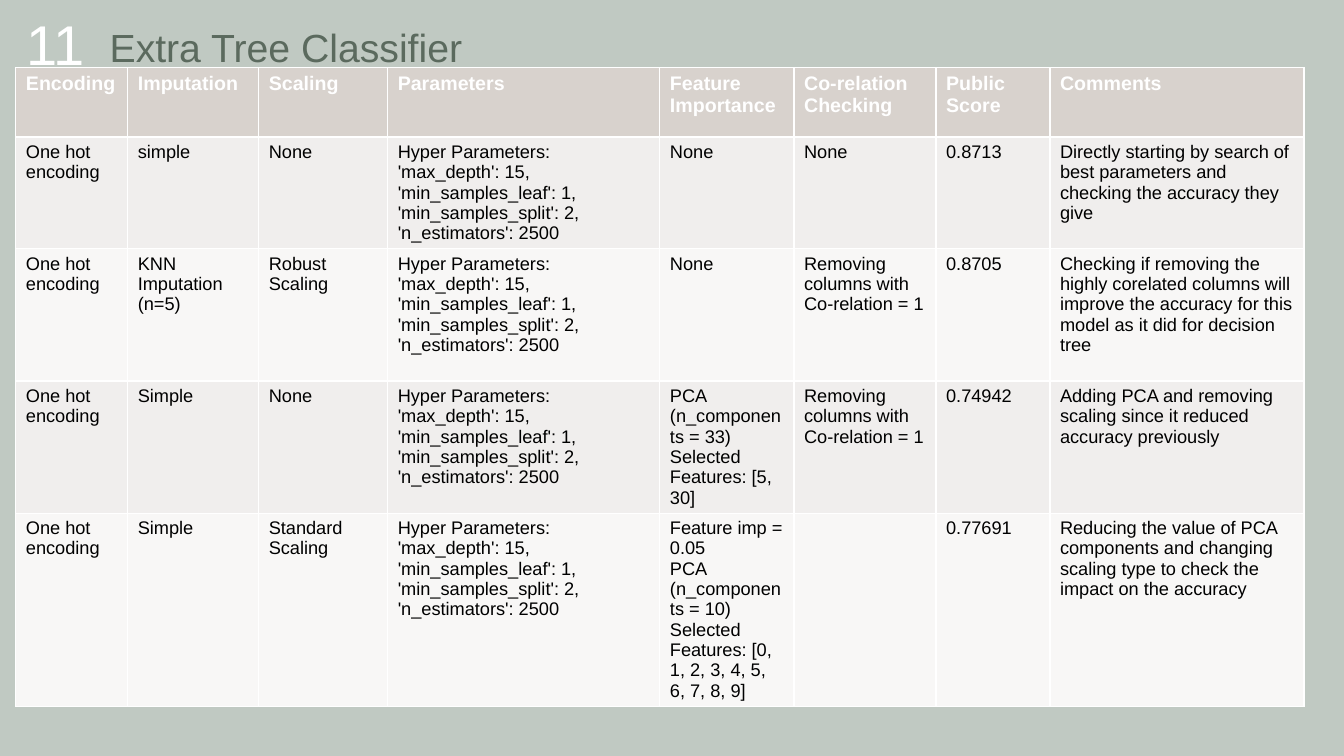
from dataclasses import dataclass

from lxml.etree import SubElement
from pptx import Presentation
from pptx.dml.color import RGBColor
from pptx.enum.text import MSO_ANCHOR, MSO_AUTO_SIZE, PP_ALIGN
from pptx.oxml.ns import qn
from pptx.util import Cm, Pt


@dataclass(frozen=True)
class Theme:
    font: str = "Arial"
    background: str = "C0C9C2"
    title: str = "5B6A5E"
    light: str = "FFFFFF"
    dark: str = "000000"
    header_fill: str = "D8D2CD"
    bands: tuple = ("F0EEED", "F8F7F6")
    number_size: float = 40
    title_size: float = 28
    header_size: float = 14
    cell_size: float = 13


HYPER = ("Hyper Parameters: 'max_depth': 15, 'min_samples_leaf': 1, "
         "'min_samples_split': 2, 'n_estimators': 2500")
UNCORRELATED = "Removing columns with Co-relation = 1"
ENCODING = "One hot encoding"

HEADERS = ["Encoding", "Imputation", "Scaling", "Parameters", "Feature Importance",
           "Co-relation Checking", "Public Score", "Comments"]
TRIALS = [
    [ENCODING, "simple", "None", HYPER, "None", "None", "0.8713",
     "Directly starting by search of best parameters and checking the accuracy they give"],
    [ENCODING, "KNN Imputation\n(n=5)", "Robust Scaling", HYPER, "None", UNCORRELATED, "0.8705",
     "Checking if removing the highly corelated columns will improve the accuracy "
     "for this model as it did for decision tree"],
    [ENCODING, "Simple", "None", HYPER,
     "PCA (n_components = 33)\nSelected Features: [5, 30]", UNCORRELATED, "0.74942",
     "Adding PCA and removing scaling since it reduced accuracy previously"],
    [ENCODING, "Simple", "Standard Scaling", HYPER,
     "Feature imp = 0.05\nPCA (n_components = 10)\n"
     "Selected Features: [0, 1, 2, 3, 4, 5, 6, 7, 8, 9]", "", "0.77691",
     "Reducing the value of PCA components and changing scaling type "
     "to check the impact on the accuracy"],
]
COLUMN_WIDTHS = [2.82, 3.3, 3.25, 6.86, 3.38, 3.58, 2.87, 6.4]
ROW_HEIGHTS = [1.75, 2.82, 3.33, 3.33, 4.88]


class SlideBuilder:
    def __init__(self, prs, theme):
        self.theme = theme
        self.s = prs.slides.add_slide(prs.slide_layouts[1])
        fill = self.s.background.fill
        fill.solid()
        fill.fore_color.rgb = RGBColor.from_string(theme.background)

    def format_runs(self, tf, size, color, bold=False):
        for p in tf.paragraphs:
            for r in p.runs:
                r.font.name = self.theme.font
                r.font.size = Pt(size)
                r.font.bold = bold
                r.font.color.rgb = RGBColor.from_string(color)

    def place(self, sp, text, box, size, color, anchor):
        """Move a placeholder to box and fill it with one formatted line."""
        sp.left, sp.top, sp.width, sp.height = map(Cm, box)
        tf = sp.text_frame
        tf.text = text
        tf.word_wrap = True
        tf.auto_size = MSO_AUTO_SIZE.NONE
        tf.vertical_anchor = anchor
        p = tf.paragraphs[0]
        p.alignment = PP_ALIGN.LEFT
        p.line_spacing = 0.9
        self.format_runs(tf, size, color)
        return p

    def title(self, text, box):
        self.place(self.s.shapes.title, text, box, self.theme.title_size,
                   self.theme.title, MSO_ANCHOR.MIDDLE)

    def number(self, text, box):
        p = self.place(self.s.placeholders[1], text, box, self.theme.number_size,
                       self.theme.light, MSO_ANCHOR.TOP)
        p.space_before = Pt(10)
        pPr = p._p.get_or_add_pPr()
        pPr.set("marL", "0")
        pPr.set("indent", "0")
        SubElement(pPr, qn("a:buNone"))

    def table(self, rows, left, top, widths, heights):
        frame = self.s.shapes.add_table(len(rows), len(widths), Cm(left), Cm(top),
                                        Cm(sum(widths)), Cm(sum(heights)))
        table = frame.table
        for column, width in zip(table.columns, widths):
            column.width = Cm(width)
        for row, height in zip(table.rows, heights):
            row.height = Cm(height)
        for i, texts in enumerate(rows):
            for cell, text in zip(table.rows[i].cells, texts):
                self.cell(cell, text, i)

    def cell(self, cell, text, row):
        t = self.theme
        cell.text_frame.text = text
        cell.fill.solid()
        if row == 0:
            fill, size, color = t.header_fill, t.header_size, t.light
        else:
            fill, size, color = t.bands[(row - 1) % 2], t.cell_size, t.dark
        cell.fill.fore_color.rgb = RGBColor.from_string(fill)
        self.format_runs(cell.text_frame, size, color, bold=row == 0)


def main():
    prs = Presentation()
    prs.slide_width, prs.slide_height = Cm(33.87), Cm(19.05)
    slide = SlideBuilder(prs, Theme())
    slide.number("11", (0.41, 0.3, 2.74, 1.88))
    slide.title("Extra Tree Classifier", (2.51, 0.13, 10.92, 2.24))
    slide.table([HEADERS] + TRIALS, 0.4, 1.7, COLUMN_WIDTHS, ROW_HEIGHTS)
    prs.save("out.pptx")


if __name__ == "__main__":
    main()
